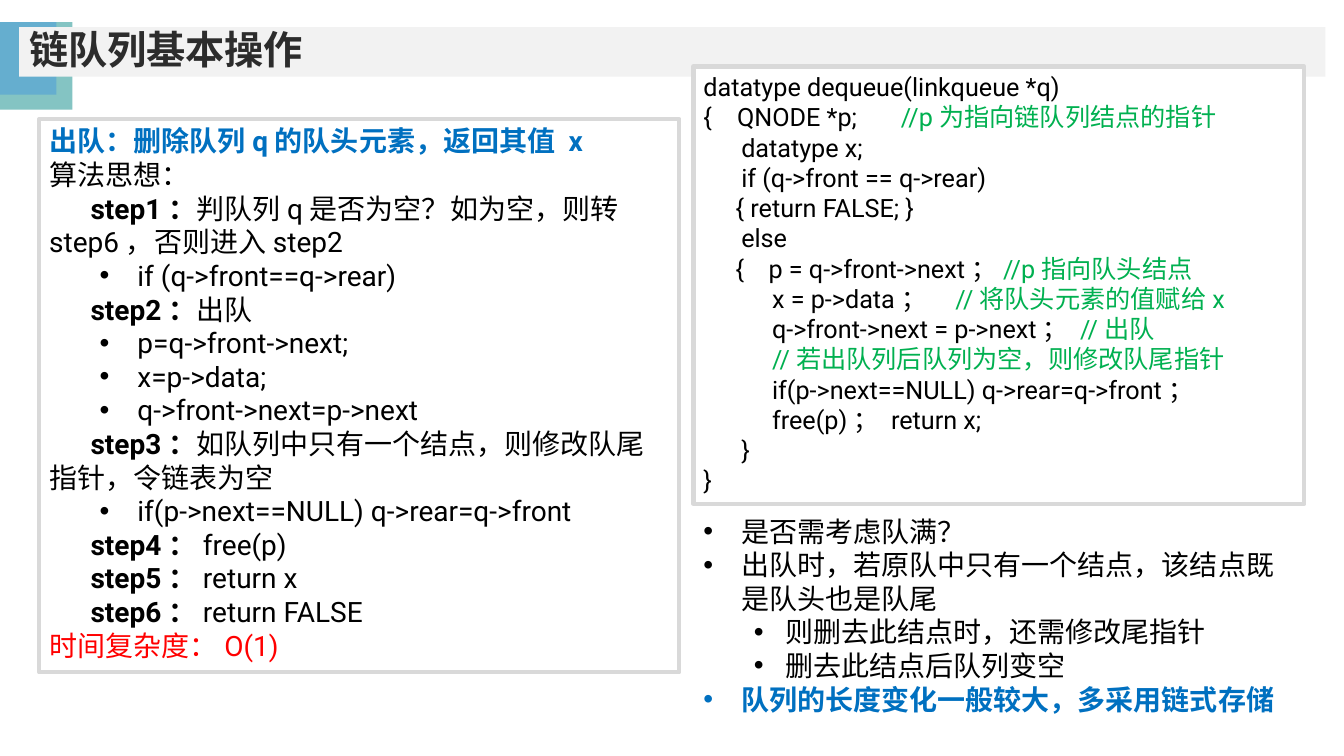
"""Build a slide on the dequeue operation of a linked queue."""
from lxml import etree
from pptx import Presentation
from pptx.dml.color import RGBColor
from pptx.enum import shapes, text
from pptx.oxml import ns
from pptx.util import Pt

BLACK, BLUE, RED, GREEN, GREY = "000000", "0070C0", "FF0000", "00B050", "D9D9D9"

TITLE = "链队列基本操作"
BANDS = [
    ((0, 15.8, 51.8, 62.6), "84C4C3"),
    ((0, 15.8, 40.3, 51.8), "65AECF"),
]
AREAS = {
    "title": (13.7, 19.4, 933.1, 35.3),
    "steps": (28.1, 85, 457.2, 395.3),
    "code": (495.4, 47.5, 436.3, 312.5),
    "notes": (495.4, 363.6, 436.3, 157),
}

# Layout name: level, left margin, first-line indent, bulleted
LAYOUTS = {
    "plain": (0, 0, 0, False),
    "step": (0, 0, 29.5, False),
    "action": (1, 63, -27, True),
    "note": (0, 27, -27, True),
    "subnote": (1, 58.5, -22.5, True),
}
STEPS = [
    ("plain", [("出队：删除队列q的队头元素，返回其值 x", BLUE, True)]),
    ("plain", [("算法思想：", BLACK, False)]),
    ("step", [("step1：", BLACK, True),
              ("判队列q是否为空？如为空，则转step6，否则进入step2", BLACK, False)]),
    ("action", [("if (q->front==q->rear)", BLACK, False)]),
    ("step", [("step2：", BLACK, True), ("出队", BLACK, False)]),
    ("action", [("p=q->front->next;", BLACK, False)]),
    ("action", [("x=p->data;", BLACK, False)]),
    ("action", [("q->front->next=p->next", BLACK, False)]),
    ("step", [("step3：", BLACK, True),
              ("如队列中只有一个结点，则修改队尾指针，令链表为空", BLACK, False)]),
    ("action", [("if(p->next==NULL) q->rear=q->front", BLACK, False)]),
    ("step", [("step4：", BLACK, True), ("free(p)", BLACK, False)]),
    ("step", [("step5：", BLACK, True), ("return x", BLACK, False)]),
    ("step", [("step6：", BLACK, True), ("return FALSE", BLACK, False)]),
    ("plain", [("时间复杂度：O(1)", RED, False)]),
]
NOTES = [
    ("note", [("是否需考虑队满？", BLACK, False)]),
    ("note", [("出队时，若原队中只有一个结点，该结点既是队头也是队尾", BLACK, False)]),
    ("subnote", [("则删去此结点时，还需修改尾指针", BLACK, False)]),
    ("subnote", [("删去此结点后队列变空", BLACK, False)]),
    ("note", [("队列的长度变化一般较大，多采用链式存储", BLUE, True)]),
]

# Each code line: pieces of (tab position, words)
CODE = [
    [(0, "datatype dequeue(linkqueue *q)")],
    [(0, "{"), (24, "QNODE *p;"), (141, "//p为指向链队列结点的指针")],
    [(27, "datatype x;")],
    [(27, "if (q->front == q->rear)")],
    [(23, "{ return FALSE; }")],
    [(27, "else")],
    [(23, "{"), (46.5, "p = q->front->next；"), (214, "//p指向队头结点")],
    [(49, "x = p->data；"), (180, "//将队头元素的值赋给x")],
    [(49, "q->front->next = p->next；"), (269, "//出队")],
    [(49, "//若出队列后队列为空，则修改队尾指针")],
    [(49, "if(p->next==NULL) q->rear=q->front；")],
    [(49, "free(p)；"), (134, "return x;")],
    [(27, "}")],
    [(0, "}")],
]


def color(value):
    return RGBColor.from_string(value)


def add_box(page, area, fill=None, line=None):
    box = page.shapes.add_shape(shapes.MSO_SHAPE.RECTANGLE, *map(Pt, area))
    box.shadow.inherit = False
    if fill:
        box.fill.solid()
        box.fill.fore_color.rgb = color(fill)
    else:
        box.fill.background()
    if line:
        box.line.color.rgb = color(line)
        box.line.width = Pt(3)
    else:
        box.line.fill.background()
    return box


def prepare(box, anchor=text.MSO_ANCHOR.TOP):
    frame = box.text_frame
    frame.word_wrap = True
    frame.vertical_anchor = anchor
    return frame


def next_para(frame, index):
    para = frame.add_paragraph() if index else frame.paragraphs[0]
    para.alignment = text.PP_ALIGN.LEFT
    return para


def add_span(para, words, size, tone, bold=False, face="Roboto"):
    span = para.add_run()
    span.text = words
    span.font.size = Pt(size)
    span.font.name = face
    span.font.bold = bold
    span.font.color.rgb = color(tone)
    east = etree.SubElement(span.font._element, ns.qn("a:ea"))
    east.set("typeface", "Noto Sans CJK SC")


def write_list(box, items, face):
    frame = prepare(box)
    for index, (layout, pieces) in enumerate(items):
        para = next_para(frame, index)
        para.level, margin, indent, bulleted = LAYOUTS[layout]
        props = para._p.get_or_add_pPr()
        props.set("marL", str(Pt(margin)))
        props.set("indent", str(Pt(indent)))
        if bulleted:
            etree.SubElement(props, ns.qn("a:buFont")).set("typeface", "Arial")
            etree.SubElement(props, ns.qn("a:buChar")).set("char", "•")
        for words, tone, bold in pieces:
            add_span(para, words, 20, tone, bold, face)


def write_code(box):
    frame = prepare(box)
    for index, pieces in enumerate(CODE):
        para = next_para(frame, index)
        para.alignment = text.PP_ALIGN.JUSTIFY
        stops = etree.SubElement(para._p.get_or_add_pPr(), ns.qn("a:tabLst"))
        for stop, words in pieces:
            if stop:
                tab = etree.SubElement(stops, ns.qn("a:tab"))
                tab.set("pos", str(Pt(stop)))
                tab.set("algn", "l")
            tone = GREEN if words.startswith("//") else BLACK
            add_span(para, "\t" + words if stop else words, 18, tone)


def main():
    deck = Presentation()
    deck.slide_width, deck.slide_height = Pt(960), Pt(540)
    page = deck.slides.add_slide(deck.slide_layouts[6])
    for area, fill in BANDS:
        add_box(page, area, fill)

    title = prepare(add_box(page, AREAS["title"], "F2F2F2"), text.MSO_ANCHOR.MIDDLE)
    para = next_para(title, 0)
    para.line_spacing = 0.9
    add_span(para, TITLE, 28, "2C2C2C", True, "Arial")

    write_list(add_box(page, AREAS["steps"], line=GREY), STEPS, "Roboto")
    write_code(add_box(page, AREAS["code"], "FFFFFF", GREY))
    notes = page.shapes.add_textbox(*map(Pt, AREAS["notes"]))
    write_list(notes, NOTES, "Noto Sans CJK SC")
    deck.save("out.pptx")


if __name__ == "__main__":
    main()
